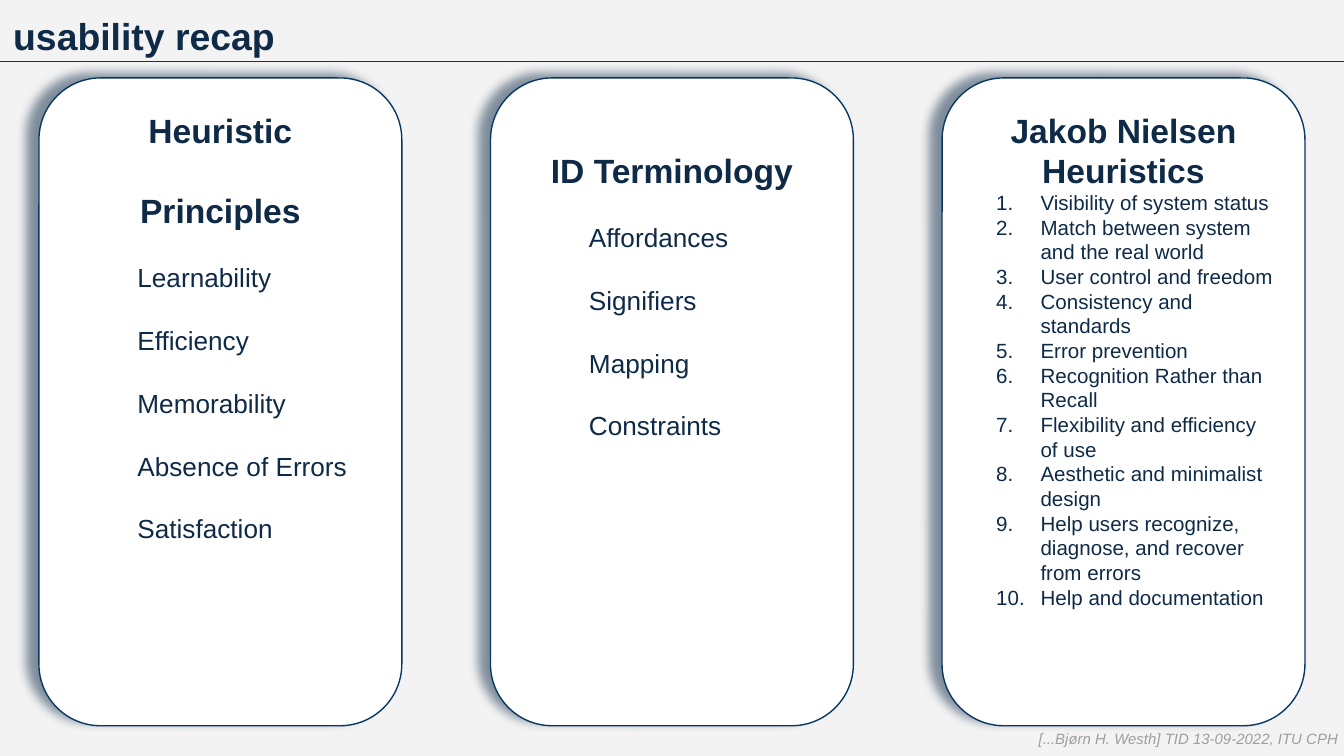
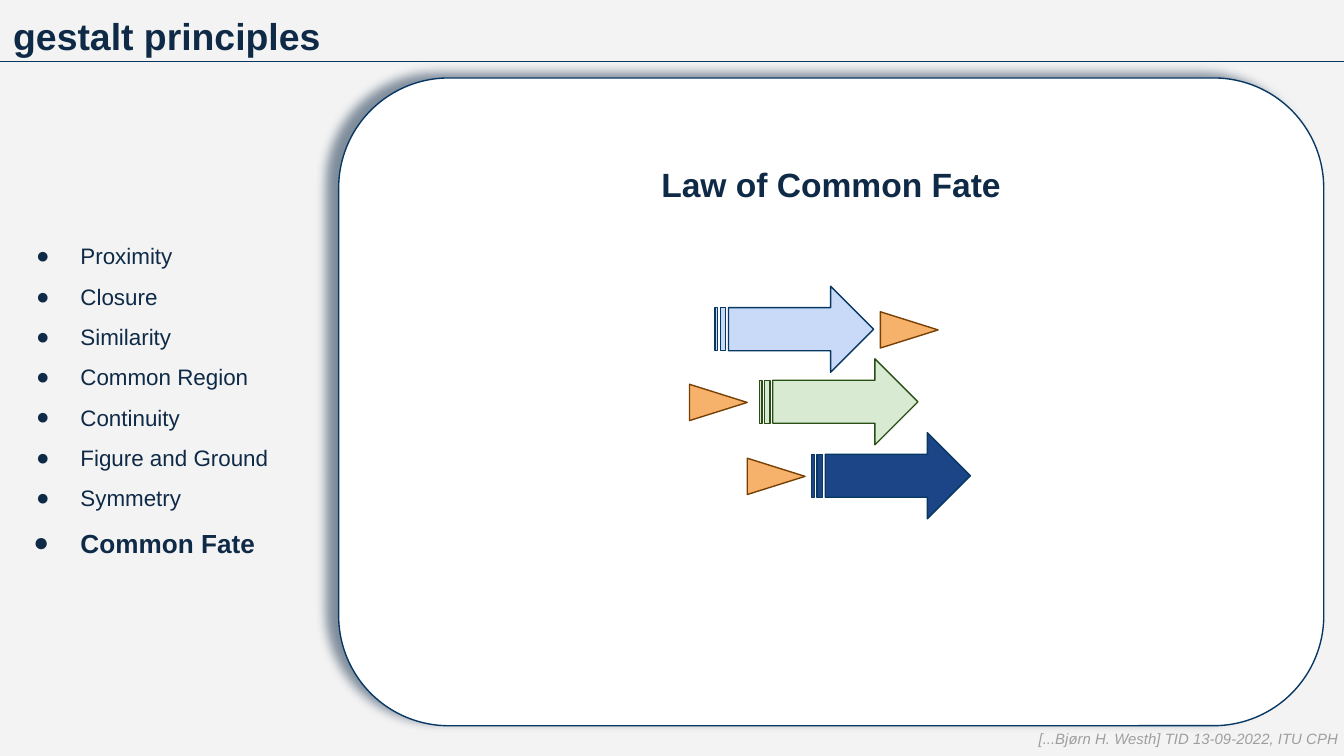
from lxml.etree import SubElement
from pptx import Presentation
from pptx.dml.color import RGBColor
from pptx.enum.shapes import MSO_CONNECTOR, MSO_SHAPE as Shape
from pptx.enum.text import MSO_ANCHOR as Anchor, PP_ALIGN as Align
from pptx.oxml.ns import qn
from pptx.util import Emu, Inches, Pt

FONT = "Arial"
COLORS = {
    "background": "F3F3F3", "ink": "0E2A47", "outline": "073763",
    "card": "FFFFFF", "footer": "9E9E9E",
    "navy": "1C4587", "sky": "C9DAF8", "mint": "D9EAD3", "forest": "274E13",
    "orange": "F6B26B", "brown": "783F04",
}
FOOTER = "[...Bjørn H. Westh] TID 13-09-2022, ITU CPH"
CARD_TOP, CARD_HEIGHT = 0.58, 4.82

# Paragraph formats
TITLE = {"size": 20, "bold": True}
HEADING = {"size": 18, "bold": True, "alignment": Align.CENTER}
SPACED_HEADING = {**HEADING, "line_spacing": 2.0}
TERM = {"size": 14, "line_spacing": 2.0, "indent": (0.5, 0)}
NUMBERED = {"size": 11, "indent": (0.5, -0.33), "bullet": "number"}
LAW = {"size": 12, "line_spacing": 1.5, "indent": (0.5, -0.33), "bullet": "●"}
CURRENT_LAW = {**LAW, "size": 14, "bold": True, "indent": (0.5, -0.35)}
NOTE = {"size": 8, "italic": True, "color": "footer"}

# Columns of the recap: (text, format) pairs
RECAP_CARDS = [
    [("Heuristic", HEADING), ("Principles", SPACED_HEADING)]
    + [(term, TERM) for term in (
        "Learnability", "Efficiency", "Memorability", "Absence of Errors",
        "Satisfaction")],
    [("ID Terminology", SPACED_HEADING)]
    + [(term, TERM) for term in (
        "Affordances", "Signifiers", "Mapping", "Constraints")],
    [("Jakob Nielsen Heuristics", HEADING)]
    + [(heuristic, NUMBERED) for heuristic in (
        "Visibility of system status",
        "Match between system and the real world",
        "User control and freedom",
        "Consistency and standards",
        "Error prevention",
        "Recognition Rather than Recall",
        "Flexibility and efficiency of use",
        "Aesthetic and minimalist design",
        "Help users recognize, diagnose, and recover from errors",
        "Help and documentation")],
]

GESTALT_LAWS = [(law, LAW) for law in (
    "Proximity", "Closure", "Similarity", "Common Region", "Continuity",
    "Figure and Ground", "Symmetry")] + [("Common Fate", CURRENT_LAW)]

# Rows of the figure: arrow left, triangle left, row top, fill, outline
FATE_ROWS = [
    (3.52, 3.12, 2.64, "navy", "outline"),
    (3.13, 2.69, 2.09, "mint", "forest"),
    (2.80, 4.11, 1.55, "sky", "outline"),
]


def rgb(name):
    return RGBColor.from_string(COLORS[name])


def add_bullet(paragraph, left, hanging, bullet):
    properties = paragraph._p.get_or_add_pPr()
    properties.set("marL", str(Inches(left)))
    properties.set("indent", str(Inches(hanging)))
    if not bullet:
        return
    color = SubElement(properties, qn("a:buClr"))
    SubElement(color, qn("a:srgbClr"), val=COLORS["ink"])
    SubElement(properties, qn("a:buFont"), typeface=FONT)
    if bullet == "number":
        SubElement(properties, qn("a:buAutoNum"), type="arabicPeriod")
    else:
        SubElement(properties, qn("a:buChar"), char=bullet)


def write_text(shape, lines, anchor=Anchor.TOP):
    frame = shape.text_frame
    frame.word_wrap = True
    frame.vertical_anchor = anchor
    for side in ("left", "top", "right", "bottom"):
        setattr(frame, f"margin_{side}", Inches(0.1))
    for index, (text, style) in enumerate(lines):
        paragraph = frame.add_paragraph() if index else frame.paragraphs[0]
        if "indent" in style:
            add_bullet(paragraph, *style["indent"], style.get("bullet"))
        paragraph.alignment = style.get("alignment", Align.LEFT)
        paragraph.line_spacing = style.get("line_spacing", 1.0)
        run = paragraph.add_run()
        run.text = text
        font_values = {"name": FONT, "size": Pt(style["size"]),
                       "bold": style.get("bold", False),
                       "italic": style.get("italic", False)}
        for name, value in font_values.items():
            setattr(run.font, name, value)
        run.font.color.rgb = rgb(style.get("color", "ink"))


def add_textbox(slide, box, lines):
    shape = slide.shapes.add_textbox(*map(Inches, box))
    write_text(shape, lines)


def add_figure(slide, kind, box, fill, outline=None):
    shape = slide.shapes.add_shape(kind, *map(Inches, box))
    shape.shadow.inherit = False
    shape.fill.solid()
    shape.fill.fore_color.rgb = rgb(fill)
    if outline:
        shape.line.color.rgb = rgb(outline)
        shape.line.width = Pt(0.75)
    else:
        shape.line.fill.background()
    return shape


def add_card(slide, box, lines):
    """Rounded white panel with a soft shadow to its left."""
    card = add_figure(slide, Shape.ROUNDED_RECTANGLE, box, "card", "outline")
    card.adjustments[0] = 0.17
    effects = card._element.spPr.find(qn("a:effectLst"))
    shadow = SubElement(effects, qn("a:outerShdw"), blurRad=str(Pt(5.6)),
                        dist=str(Pt(6.8)), dir=str(199 * 60000),
                        algn="bl", rotWithShape="0")
    color = SubElement(shadow, qn("a:srgbClr"), val=COLORS["ink"])
    SubElement(color, qn("a:alpha"), val="51000")
    write_text(card, lines)


def add_header(slide, title):
    add_textbox(slide, (0, 0, 10, 0.5), [(title, TITLE)])
    rule = slide.shapes.add_connector(
        MSO_CONNECTOR.STRAIGHT, 0, Inches(0.46), Inches(10), Inches(0.46))
    rule.line.color.rgb = rgb("outline")
    rule.line.width = Pt(0.75)
    SubElement(rule._element.spPr, qn("a:effectLst"))


def add_footer(slide):
    add_textbox(slide, (7.63, 5.36, 2.47, 0.34), [(FOOTER, NOTE)])


def add_sidebar(slide, box):
    sidebar = add_figure(slide, Shape.RECTANGLE, box, "background")
    write_text(sidebar, GESTALT_LAWS, Anchor.MIDDLE)


def add_common_fate(slide, left, top):
    """Arrows and triangles moving in the same direction."""
    for arrow_left, _, row_top, fill, outline in FATE_ROWS:
        add_figure(slide, Shape.STRIPED_RIGHT_ARROW,
                   (left + arrow_left, top + row_top, 1.18, 0.64),
                   fill, outline)
    for _, triangle_left, row_top, _, _ in FATE_ROWS:
        triangle = add_figure(
            slide, Shape.FLOWCHART_EXTRACT,
            (left + triangle_left, top + row_top + 0.11, 0.27, 0.43),
            "orange", "brown")
        triangle.rotation = 90


def new_slide(presentation):
    slide = presentation.slides.add_slide(presentation.slide_layouts[6])
    slide.background.fill.solid()
    slide.background.fill.fore_color.rgb = rgb("background")
    return slide


def build_recap(presentation):
    slide = new_slide(presentation)
    add_header(slide, "usability recap")
    for column, lines in enumerate(RECAP_CARDS):
        add_card(slide, (0.29 + 3.36 * column, CARD_TOP, 2.7, CARD_HEIGHT),
                 lines)
    add_footer(slide)


def build_gestalt(presentation):
    slide = new_slide(presentation)
    card_left = 2.52
    add_sidebar(slide, (0, 0.5, card_left, 4.86))
    add_header(slide, "gestalt principles")
    add_card(slide, (card_left, CARD_TOP, 7.33, CARD_HEIGHT),
             [("Law of Common Fate", SPACED_HEADING)])
    add_common_fate(slide, card_left, CARD_TOP)
    add_footer(slide)


def main():
    presentation = Presentation()
    presentation.slide_width = Inches(10)
    presentation.slide_height = Emu(Inches(10) * 9 // 16)
    build_recap(presentation)
    build_gestalt(presentation)
    presentation.save("out.pptx")


if __name__ == "__main__":
    main()
